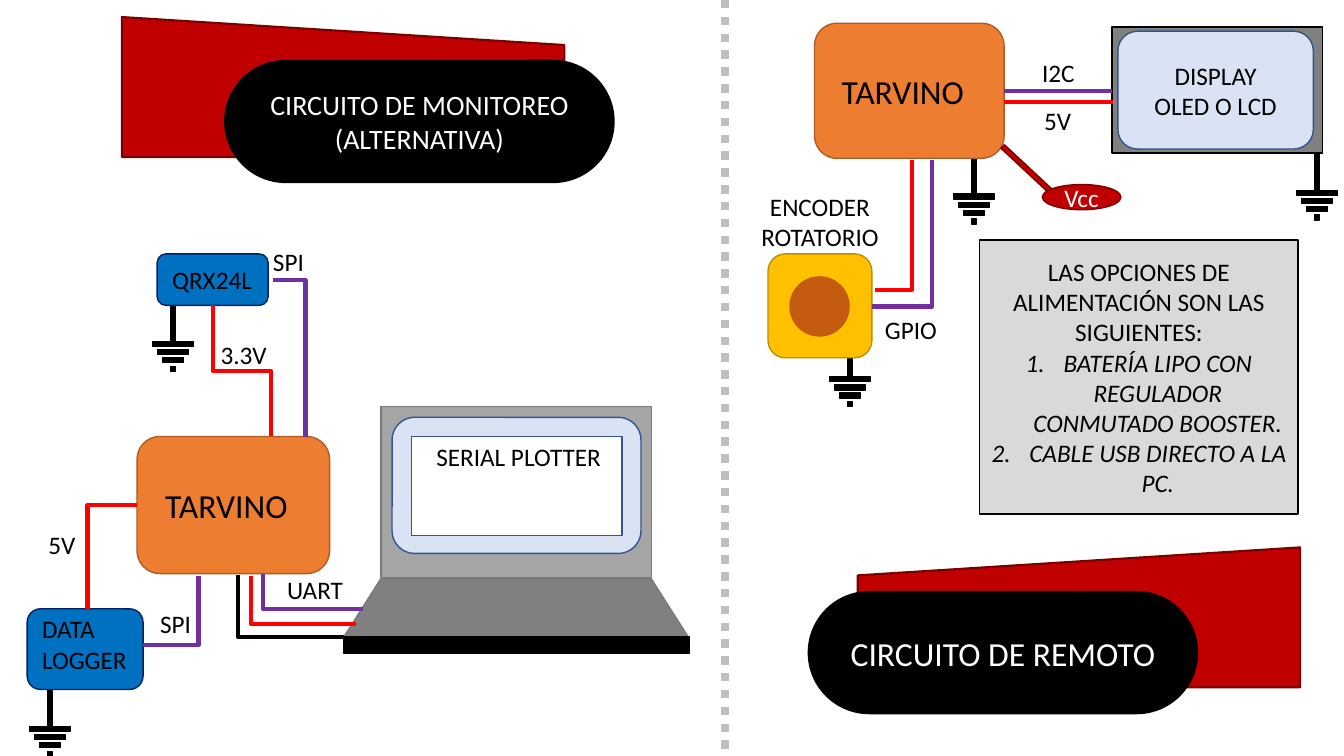
from dataclasses import dataclass
from typing import Optional

from lxml.etree import SubElement
from pptx import Presentation
from pptx.dml.color import RGBColor
from pptx.enum.dml import MSO_LINE
from pptx.enum.shapes import MSO_CONNECTOR, MSO_SHAPE
from pptx.enum.text import MSO_ANCHOR, PP_ALIGN
from pptx.oxml.ns import qn
from pptx.slide import Slide
from pptx.text.text import TextFrame
from pptx.util import Pt


@dataclass(frozen=True)
class Theme:
    font: str = "Calibri"
    body: float = 18
    title: float = 20
    heading: float = 24
    black: str = "000000"
    white: str = "FFFFFF"
    red: str = "C00000"
    red_edge: str = "7A0000"
    orange: str = "ED7D31"
    orange_edge: str = "AF5C24"
    blue: str = "0070C0"
    blue_edge: str = "002060"
    screen: str = "DAE3F3"
    screen_edge: str = "325491"
    casing: str = "A5A5A5"
    keyboard: str = "808080"
    laptop_edge: str = "7A7A7A"
    yellow: str = "FFC000"
    yellow_edge: str = "BD8E00"
    knob: str = "C55A11"
    note: str = "D9D9D9"
    divider: str = "BFBFBF"
    power: str = "FF0000"
    data: str = "7030A0"


T = Theme()


@dataclass(frozen=True)
class Block:
    kind: MSO_SHAPE
    x: float
    y: float
    w: float
    h: float
    fill: str
    edge: Optional[str] = None
    edge_width: float = 1
    adjust: Optional[float] = None
    flipped: bool = False
    rotation: float = 0
    text: tuple[str, ...] = ()
    steps: tuple[str, ...] = ()
    size: float = T.body
    color: str = T.black
    inset: float = 7.2


@dataclass(frozen=True)
class Wire:
    x1: float
    y1: float
    x2: float
    y2: float
    color: str
    geometry: str = "bentConnector2"
    rotation: int = 0
    width: float = 3
    dash: Optional[MSO_LINE] = None


@dataclass(frozen=True)
class Label:
    x: float
    y: float
    w: float
    text: str
    size: float = T.body
    align: PP_ALIGN = PP_ALIGN.LEFT


@dataclass(frozen=True)
class Ground:
    x: float
    y: float


RECT, ROUND, OVAL = MSO_SHAPE.RECTANGLE, MSO_SHAPE.ROUNDED_RECTANGLE, MSO_SHAPE.OVAL
TAB = MSO_SHAPE.FLOWCHART_MANUAL_INPUT
STEM = 3.6
GROUND_BARS = ((29.2, 27.5), (22.2, 33.3), (15.1, 39), (3.6, 45.2))
BOARD = "TARVINO"

BLOCKS = (
    Block(TAB, 612.7, 391, 316, 100, T.red, T.red_edge, 1.5),
    Block(ROUND, 577.4, 422.6, 278, 87.1, T.black, T.black, adjust=0.5,
          text=("CIRCUITO DE REMOTO",), size=T.heading, color=T.white),
    Block(ROUND, 97.9, 311.8, 137.5, 97.9, T.orange, T.orange_edge),
    Block(ROUND, 112.3, 181.4, 79.2, 36.7, T.blue, T.blue_edge),
    Block(ROUND, 19.4, 434.9, 82.8, 57.6, T.blue, T.blue_edge),
    Block(RECT, 272.2, 290.2, 193, 122.4, T.casing, T.laptop_edge),
    Block(MSO_SHAPE.TRAPEZOID, 245.5, 413.3, 246.2, 41.8, T.keyboard, T.laptop_edge,
          adjust=0.635),
    Block(RECT, 245.5, 455, 247, 11.5, T.black, T.black),
    Block(ROUND, 280.1, 298.1, 177.8, 97.2, T.screen, T.screen_edge),
    Block(RECT, 293.8, 311.8, 150.5, 70.6, T.white, T.screen_edge),
    Block(ROUND, 548.6, 181.4, 74.2, 74.2, T.yellow, T.yellow_edge),
    Block(OVAL, 563.8, 197.3, 43.2, 43.2, T.knob),
    Block(ROUND, 581.8, 16.6, 135.4, 96.5, T.orange, T.orange_edge),
    Block(RECT, 794.2, 19.4, 150.5, 90, T.keyboard, T.black),
    Block(ROUND, 798.5, 22.3, 139.7, 84.2, T.screen, T.screen_edge,
          text=("DISPLAY", "OLED O LCD")),
    Block(RECT, 731.5, 97.2, STEM, 46.8, T.red, T.red_edge, rotation=313),
    Block(OVAL, 744.5, 131.8, 56.2, 18, T.red, T.red_edge, text=("Vcc",),
          color=T.white, inset=0),
    Block(RECT, 699.8, 171.4, 227.5, 195.8, T.note, T.black,
          text=("LAS OPCIONES DE ALIMENTACIÓN SON LAS SIGUIENTES:",),
          steps=("BATERÍA LIPO CON REGULADOR CONMUTADO BOOSTER.",
                 "CABLE USB DIRECTO A LA PC.")),
    Block(TAB, 87.1, 12.2, 316, 100, T.red, T.red_edge, 1.5, flipped=True),
    Block(ROUND, 160.6, 43.2, 278, 87.1, T.black, T.black, adjust=0.5, flipped=True,
          text=("CIRCUITO DE MONITOREO (ALTERNATIVA)",), size=T.title, color=T.white),
)

WIRES = (
    Wire(195.1, 200.2, 218.2, 311.8, T.data),
    Wire(102.2, 460.8, 141.8, 411.1, T.data),
    Wire(219.6, 244.1, 126, 285.8, T.power, "bentConnector3", 270),
    Wire(97.9, 360.7, 62.6, 434.9, T.power),
    Wire(259.2, 434.9, 187.9, 409.7, T.data),
    Wire(254.2, 445.7, 179.3, 411.1, T.power),
    Wire(245.5, 455, 169.9, 410.4, T.black),
    Wire(622.8, 218.9, 666, 114.5, T.data),
    Wire(625, 207, 651.6, 114.5, T.power),
    Wire(717.1, 64.8, 794.2, 64.8, T.data, "line"),
    Wire(717.1, 72.7, 794.9, 72.7, T.power, "line"),
    Wire(517.7, 0, 517.7, 540, T.divider, "line", width=6, dash=MSO_LINE.ROUND_DOT),
)

GROUNDS = (Ground(121.7, 218.2), Ground(33.8, 493.2), Ground(605.5, 243.4),
           Ground(938.9, 110.2), Ground(694.1, 113))

LABELS = (
    Label(110.9, 342.7, 112, BOARD, T.heading),
    Label(115.9, 185, 79.2, "QRX24L"),
    Label(23, 434.9, 79.2, "DATA LOGGER"),
    Label(187.9, 172.1, 38, "SPI"),
    Label(107.3, 431.3, 38, "SPI"),
    Label(150.5, 239, 50, "3.3V"),
    Label(27.4, 374.4, 36, "5V"),
    Label(198, 406.8, 57, "UART"),
    Label(304.6, 311.8, 139.7, "SERIAL PLOTTER"),
    Label(532.8, 133.2, 105.8, "ENCODER ROTATORIO", align=PP_ALIGN.CENTER),
    Label(625, 221, 54, "GPIO"),
    Label(594, 46.8, 112, BOARD, T.heading),
    Label(737.3, 37.4, 40, "I2C"),
    Label(738.7, 72, 36, "5V"),
)


def add_text(frame: TextFrame, texts: tuple[str, ...], size: float, color: str,
             align: PP_ALIGN, first_step: int) -> None:
    frame.word_wrap = True
    for index, text in enumerate(texts):
        paragraph = frame.add_paragraph() if index else frame.paragraphs[0]
        paragraph.alignment = align
        is_step = index >= first_step
        if is_step:
            properties = paragraph._p.get_or_add_pPr()
            properties.set("marL", str(Pt(27)))
            properties.set("indent", str(-Pt(27)))
            SubElement(properties, qn("a:buFont"), typeface="+mj-lt")
            SubElement(properties, qn("a:buAutoNum"), type="arabicPeriod")
        run = paragraph.add_run()
        run.text = text
        run.font.name, run.font.size = T.font, Pt(size)
        run.font.color.rgb = RGBColor.from_string(color)
        if is_step:
            run.font.italic = True


def draw_block(slide: Slide, block: Block) -> None:
    shape = slide.shapes.add_shape(block.kind, Pt(block.x), Pt(block.y),
                                   Pt(block.w), Pt(block.h))
    shape.shadow.inherit = False
    shape.rotation = block.rotation
    shape.fill.solid()
    shape.fill.fore_color.rgb = RGBColor.from_string(block.fill)
    if block.edge:
        shape.line.color.rgb = RGBColor.from_string(block.edge)
        shape.line.width = Pt(block.edge_width)
    else:
        shape.line.fill.background()
    if block.adjust is not None:
        shape.adjustments[0] = block.adjust
    if block.flipped:
        shape.element.spPr.find(qn("a:xfrm")).set("flipH", "1")
    if block.text:
        frame = shape.text_frame
        frame.vertical_anchor = MSO_ANCHOR.MIDDLE
        frame.margin_left = frame.margin_right = Pt(block.inset)
        add_text(frame, block.text + block.steps, block.size, block.color,
                 PP_ALIGN.CENTER, len(block.text))


def draw_wire(slide: Slide, wire: Wire) -> None:
    connector = slide.shapes.add_connector(MSO_CONNECTOR.STRAIGHT, Pt(wire.x1), Pt(wire.y1),
                                           Pt(wire.x2), Pt(wire.y2))
    connector.line.color.rgb = RGBColor.from_string(wire.color)
    connector.line.width = Pt(wire.width)
    if wire.dash is not None:
        connector.line.dash_style = wire.dash
    properties = connector.element.spPr
    properties.find(qn("a:prstGeom")).set("prst", wire.geometry)
    if wire.rotation:
        properties.find(qn("a:xfrm")).set("rot", str(wire.rotation * 60000))
    SubElement(properties, qn("a:effectLst"))


def draw_ground(slide: Slide, ground: Ground) -> None:
    draw_block(slide, Block(RECT, ground.x, ground.y, STEM, 29.2, T.black, T.black))
    for width, drop in GROUND_BARS:
        draw_block(slide, Block(RECT, ground.x + (STEM - width) / 2,
                                ground.y + drop - STEM / 2, width, STEM, T.black, T.black))


def draw_label(slide: Slide, label: Label) -> None:
    box = slide.shapes.add_textbox(Pt(label.x), Pt(label.y), Pt(label.w),
                                   Pt(label.size * 1.2 + 7.2))
    add_text(box.text_frame, (label.text,), label.size, T.black, label.align, 1)


def main() -> None:
    deck = Presentation()
    deck.slide_width, deck.slide_height = Pt(960), Pt(540)
    slide = deck.slides.add_slide(deck.slide_layouts[6])
    for items, draw in ((GROUNDS, draw_ground), (BLOCKS, draw_block),
                        (WIRES, draw_wire), (LABELS, draw_label)):
        for item in items:
            draw(slide, item)
    deck.save("out.pptx")


if __name__ == "__main__":
    main()
